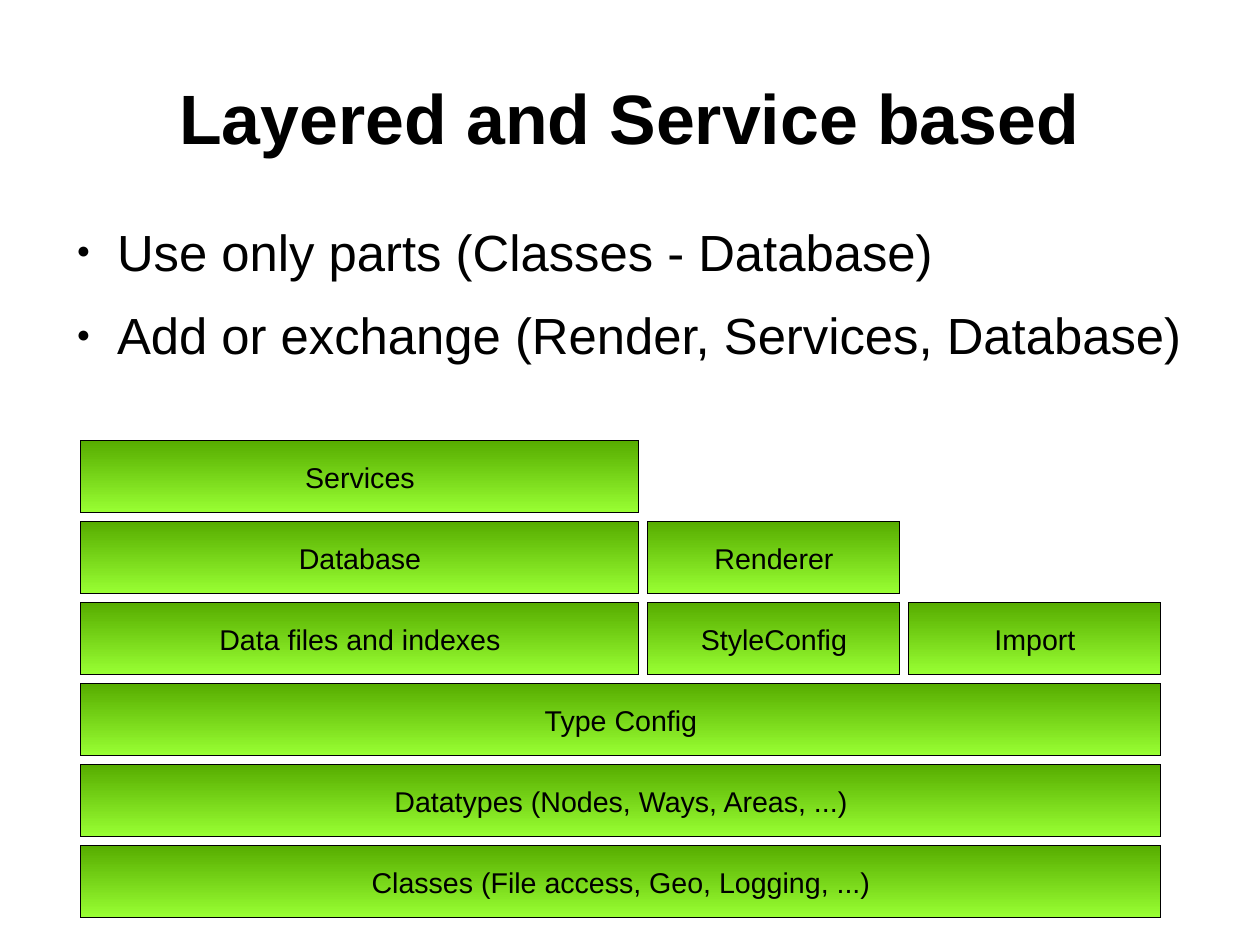
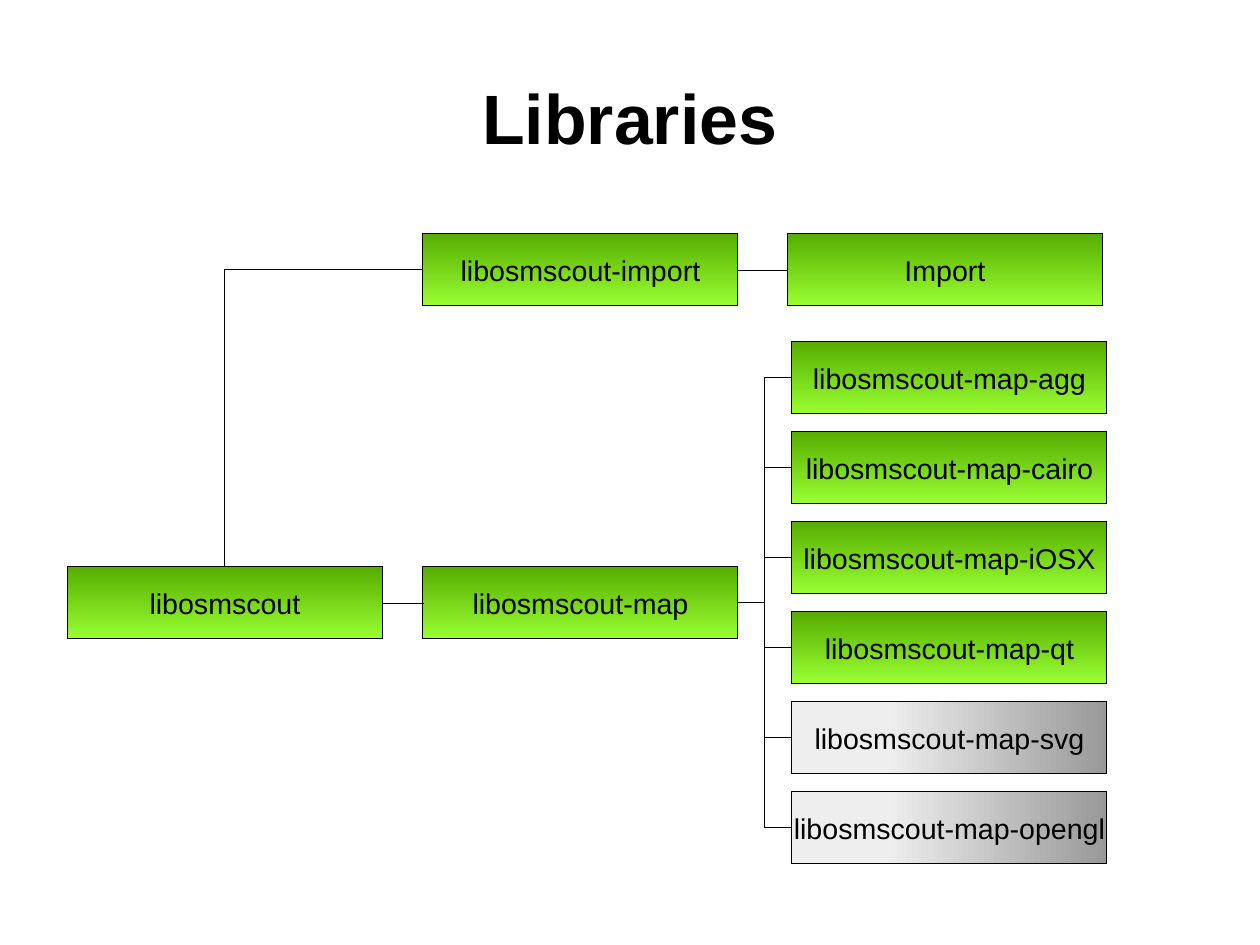
from dataclasses import dataclass

from lxml import etree
from pptx import Presentation
from pptx.dml.color import RGBColor
from pptx.enum.shapes import MSO_CONNECTOR, MSO_SHAPE
from pptx.enum.text import MSO_ANCHOR, MSO_AUTO_SIZE, PP_ALIGN
from pptx.oxml.ns import qn
from pptx.util import Cm, Pt

RECTANGLE = MSO_SHAPE.RECTANGLE
STRAIGHT, ELBOW = MSO_CONNECTOR.STRAIGHT, MSO_CONNECTOR.ELBOW
CENTER, LEFT = PP_ALIGN.CENTER, PP_ALIGN.LEFT
MIDDLE, TOP = MSO_ANCHOR.MIDDLE, MSO_ANCHOR.TOP
NO_AUTOFIT = MSO_AUTO_SIZE.NONE
SIDE_TOP, SIDE_LEFT, SIDE_RIGHT = 0, 1, 3
TITLE_AND_BODY, TITLE_ONLY = 1, 5


@dataclass(frozen=True)
class Gradient:
    start: str
    end: str
    angle: int
    offset: float = 0


@dataclass(frozen=True)
class Theme:
    font: str = "Arial"
    ink: str = "000000"
    paper: str = "FFFFFF"
    title_size: int = 44
    list_size: int = 32
    label_size: int = 18
    active: Gradient = Gradient("99FF33", "57AD00", 90)
    planned: Gradient = Gradient("EEEEEE", "999999", 0, 0.3)


THEME = Theme()
PAGE_WIDTH, PAGE_HEIGHT = 28, 21
MARGIN = PAGE_WIDTH * 0.05
CONTENT_WIDTH = PAGE_WIDTH - 2 * MARGIN
TITLE_AREA = (MARGIN, PAGE_HEIGHT * 0.04, CONTENT_WIDTH, PAGE_HEIGHT / 6)
LIST_AREA = (MARGIN, 4.9, CONTENT_WIDTH, 5.08)
BOX_HEIGHT = 1.6

LAYER_GAP = 0.2
LAYER_LEFT, LAYER_TOP = 1.8, 9.8
LAYER_WIDTHS = (12.4, 5.6, 5.6)
LAYERS = (
    (("Services", 1),),
    (("Database", 1), ("Renderer", 1)),
    (("Data files and indexes", 1), ("StyleConfig", 1), ("Import", 1)),
    (("Type Config", 3),),
    (("Datatypes (Nodes, Ways, Areas, ...)", 3),),
    (("Classes (File access, Geo, Logging, ...)", 3),),
)

LIBRARY_WIDTH = 7
CORE_LEFT, PART_LEFT, TOOL_LEFT, BACKEND_LEFT = 1.5, 9.4, 17.5, 17.6
IMPORT_TOP, BACKEND_TOP, BACKEND_PITCH = 5.2, 7.6, 2
BACKENDS = (
    ("agg", THEME.active),
    ("cairo", THEME.active),
    ("iOSX", THEME.active),
    ("qt", THEME.active),
    ("svg", THEME.planned),
    ("opengl", THEME.planned),
)


def color(value):
    return RGBColor.from_string(value)


def place(shape, area):
    shape.left, shape.top, shape.width, shape.height = map(Cm, area)


def write(shape, lines, *, size, bold=False, align=CENTER, anchor=MIDDLE,
          insets=(0, 0), wrap=True, after=0):
    frame = shape.text_frame
    frame.auto_size = NO_AUTOFIT
    frame.word_wrap = wrap
    frame.vertical_anchor = anchor
    frame.margin_left = frame.margin_right = Cm(insets[0])
    frame.margin_top = frame.margin_bottom = Cm(insets[1])
    frame.text = "\n".join(lines)
    for para in frame.paragraphs:
        para.alignment = align
        para.space_before, para.space_after = Pt(0), Pt(after)
        for span in para.runs:
            span.font.name = THEME.font
            span.font.size = Pt(size)
            span.font.bold = bold
            span.font.color.rgb = color(THEME.ink)


def add_bullet(para):
    properties = para._p.get_or_add_pPr()
    properties.set("marL", str(Cm(1.2)))
    properties.set("indent", str(Cm(-0.9)))
    bullet_color = etree.SubElement(properties, qn("a:buClr"))
    etree.SubElement(bullet_color, qn("a:srgbClr"), val=THEME.ink)
    etree.SubElement(properties, qn("a:buSzPct"), val="45000")
    etree.SubElement(properties, qn("a:buChar"), char="●")


def draw_hairline(shape):
    shape.line.color.rgb = color(THEME.ink)
    shape._element.spPr.find(qn("a:ln")).set("w", "0")


def add_page(deck, layout, title):
    page = deck.slides.add_slide(deck.slide_layouts[layout])
    place(page.shapes.title, TITLE_AREA)
    write(page.shapes.title, [title], size=THEME.title_size, bold=True)
    return page


def add_list(page, lines):
    body = page.placeholders[1]
    place(body, LIST_AREA)
    write(body, lines, size=THEME.list_size, align=LEFT, anchor=TOP, after=14.2)
    for para in body.text_frame.paragraphs:
        add_bullet(para)


def add_box(page, label, left, top, width=LIBRARY_WIDTH, gradient=THEME.active):
    box = page.shapes.add_shape(
        RECTANGLE, *map(Cm, (left, top, width, BOX_HEIGHT)))
    box.shadow.inherit = False
    box.fill.gradient()
    box.fill.gradient_angle = gradient.angle
    first, last = box.fill.gradient_stops
    first.color.rgb, last.color.rgb = color(gradient.start), color(gradient.end)
    first.position = gradient.offset
    draw_hairline(box)
    write(box, [label], size=THEME.label_size, insets=(0.25, 0.13), wrap=False)
    return box


def join(page, start, end, *, kind=STRAIGHT, start_side=SIDE_LEFT,
         end_side=SIDE_RIGHT, preset=None):
    link = page.shapes.add_connector(kind, 0, 0, 0, 0)
    link.begin_connect(start, start_side)
    link.end_connect(end, end_side)
    draw_hairline(link)
    properties = link._element.spPr
    if preset:
        properties.find(qn("a:prstGeom")).set("prst", preset)
    etree.SubElement(properties, qn("a:effectLst"))


def build_layers(deck):
    page = add_page(deck, TITLE_AND_BODY, "Layered and Service based")
    add_list(page, ["Use only parts (Classes - Database)",
                    "Add or exchange (Render, Services, Database)"])
    for row, layer in enumerate(LAYERS):
        left = LAYER_LEFT
        top = LAYER_TOP + row * (BOX_HEIGHT + LAYER_GAP)
        for column, (label, span) in enumerate(layer):
            widths = LAYER_WIDTHS[column:column + span]
            width = sum(widths) + (span - 1) * LAYER_GAP
            add_box(page, label, left, top, width)
            left += width + LAYER_GAP


def build_libraries(deck):
    page = add_page(deck, TITLE_ONLY, "Libraries")
    core_top = BACKEND_TOP + BACKEND_PITCH * (len(BACKENDS) - 1) / 2
    core = add_box(page, "libosmscout", CORE_LEFT, core_top)
    importer = add_box(page, "libosmscout-import", PART_LEFT, IMPORT_TOP)
    renderer = add_box(page, "libosmscout-map", PART_LEFT, core_top)
    tool = add_box(page, "Import", TOOL_LEFT, IMPORT_TOP)
    for row, (name, gradient) in enumerate(BACKENDS):
        backend = add_box(page, f"libosmscout-map-{name}", BACKEND_LEFT,
                          BACKEND_TOP + row * BACKEND_PITCH, gradient=gradient)
        join(page, backend, renderer, kind=ELBOW)
    join(page, renderer, core)
    join(page, tool, importer)
    join(page, importer, core, kind=ELBOW, end_side=SIDE_TOP,
         preset="bentConnector2")


def main():
    deck = Presentation()
    deck.slide_width, deck.slide_height = Cm(PAGE_WIDTH), Cm(PAGE_HEIGHT)
    background = deck.slide_master.background.fill
    background.solid()
    background.fore_color.rgb = color(THEME.paper)
    build_layers(deck)
    build_libraries(deck)
    deck.save("out.pptx")


if __name__ == "__main__":
    main()
